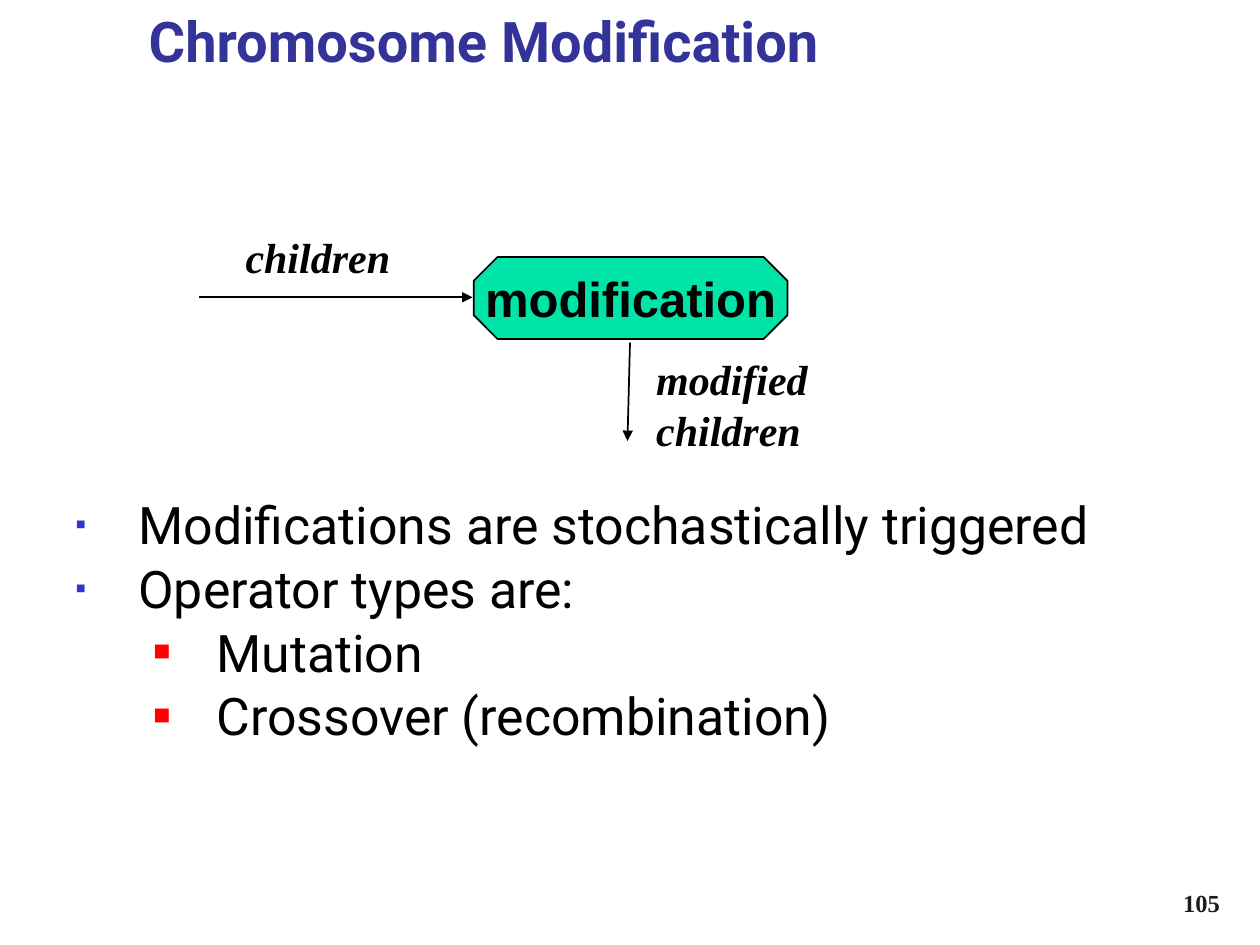
from lxml.etree import SubElement
from pptx import Presentation
from pptx.dml.color import RGBColor
from pptx.enum.shapes import MSO_CONNECTOR as Connector, MSO_SHAPE as Shape
from pptx.enum.text import MSO_ANCHOR as Anchor, MSO_AUTO_SIZE as AutoSize, PP_ALIGN as Align
from pptx.oxml.ns import qn
from pptx.util import Inches, Pt

COLORS = {"title": "333399", "ink": "000000", "number": "1C1C1C",
          "octagon": "00E4A8", "square": "3333CC", "subsquare": "FF0000"}
SERIF, SANS, BODY = "Times New Roman", "Arial", "Roboto"

# Content
TITLE = "Chromosome Modification"
STEP = "modification"
PAGE_NUMBER = "105"
FLOW_LABELS = [("children", (1.85, 1.79, 1.35, 0.5)),
               ("modified children", (5.11, 2.76, 2.63, 0.5))]
ARROWS = [((1.58, 2.36), (3.75, 2.36)), ((5, 2.72), (4.98, 3.5))]
POINTS = [(0, "Modifications are stochastically triggered"),
          (0, "Operator types are:"),
          (1, "Mutation"),
          (1, "Crossover (recombination)")]
# Per level: left margin in inches, symbol, colour, size in percent
BULLETS = [(0.5, "▪", "square", 60), (1.12, "■", "subsquare", 55)]
HANGING = 0.5


def color(name):
    return RGBColor.from_string(COLORS[name])


def add_span(para, text, size, font, ink="ink", bold=False, italic=False):
    span = para.add_run()
    span.text = text
    span.font.size, span.font.name = Pt(size), font
    span.font.bold, span.font.italic = bold, italic
    span.font.color.rgb = color(ink)


def add_box(page, place, wrap=True):
    box = page.shapes.add_textbox(*map(Inches, place))
    box.text_frame.word_wrap = wrap
    return box.text_frame


def add_arrow(page, start, end):
    arrow = page.shapes.add_connector(Connector.STRAIGHT, *map(Inches, start + end))
    arrow.line.color.rgb = color("ink")
    arrow.line.width = Pt(1)
    SubElement(arrow.line._get_or_add_ln(), qn("a:tailEnd"), type="triangle")
    SubElement(arrow._element.spPr, qn("a:effectLst"))


def add_bullet(para, level):
    margin, symbol, ink, percent = BULLETS[level]
    para.level = level
    props = para._p.get_or_add_pPr()
    props.set("marL", str(Inches(margin)))
    props.set("indent", str(-Inches(HANGING)))
    SubElement(SubElement(props, qn("a:buClr")), qn("a:srgbClr"), val=COLORS[ink])
    SubElement(props, qn("a:buSzPct"), val=str(percent * 1000))
    SubElement(props, qn("a:buFont"), typeface=SANS)
    SubElement(props, qn("a:buChar"), char=symbol)


def main():
    deck = Presentation()
    deck.slide_width, deck.slide_height = Inches(10), Inches(7.5)
    page = deck.slides.add_slide(deck.slide_layouts[5])

    # Title
    title = page.shapes.title
    title.left, title.top, title.width, title.height = map(Inches, (1.08, 0, 8.5, 1.08))
    frame = title.text_frame
    frame.vertical_anchor, frame.auto_size = Anchor.TOP, AutoSize.NONE
    frame.paragraphs[0].alignment = Align.LEFT
    add_span(frame.paragraphs[0], TITLE, 32, BODY, "title", bold=True)

    # Modification step
    octagon = page.shapes.add_shape(Shape.OCTAGON, *map(Inches, (3.76, 2.04, 2.49, 0.65)))
    octagon.shadow.inherit = False
    octagon.adjustments[0] = 0.29
    octagon.fill.solid()
    octagon.fill.fore_color.rgb = color("octagon")
    octagon.line.color.rgb = color("ink")
    octagon.line.width = Pt(1)
    frame = octagon.text_frame
    frame.word_wrap, frame.vertical_anchor = False, Anchor.MIDDLE
    frame.paragraphs[0].alignment = Align.CENTER
    add_span(frame.paragraphs[0], STEP, 28, SANS, bold=True)

    # Flow in and out
    for start, end in ARROWS:
        add_arrow(page, start, end)
    for text, place in FLOW_LABELS:
        frame = add_box(page, place, wrap=False)
        add_span(frame.paragraphs[0], text, 24, SERIF, bold=True, italic=True)

    # Bullet points
    frame = add_box(page, (0.5, 3.96, 9, 2.74))
    for index, (level, text) in enumerate(POINTS):
        para = frame.add_paragraph() if index else frame.paragraphs[0]
        add_bullet(para, level)
        para.line_spacing = 0.8
        para.space_before = Pt(8 if index else 0)
        add_span(para, text, 29.6, BODY)

    # Page number
    frame = add_box(page, (7.7, 6.83, 2.08, 0.5))
    frame.vertical_anchor = Anchor.BOTTOM
    frame.paragraphs[0].alignment = Align.RIGHT
    add_span(frame.paragraphs[0], PAGE_NUMBER, 14, SERIF, "number", bold=True)

    deck.save("out.pptx")


if __name__ == "__main__":
    main()
